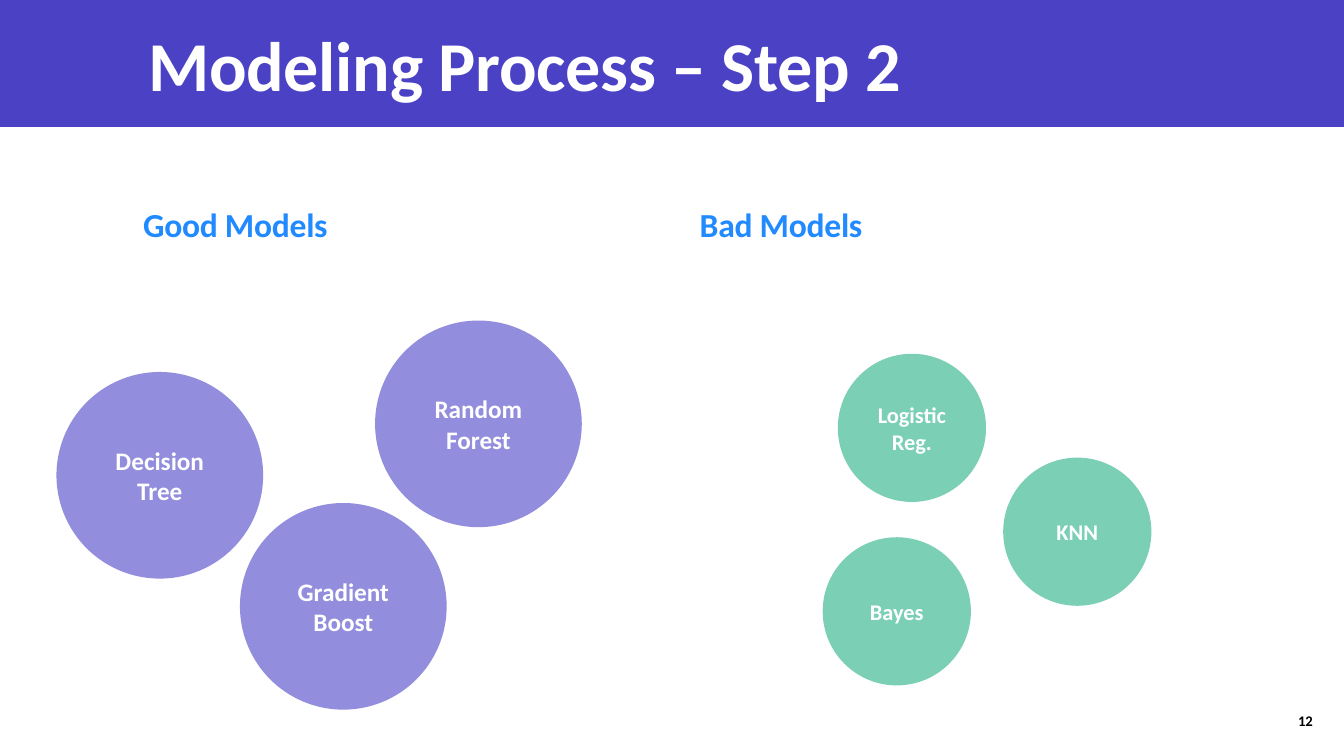
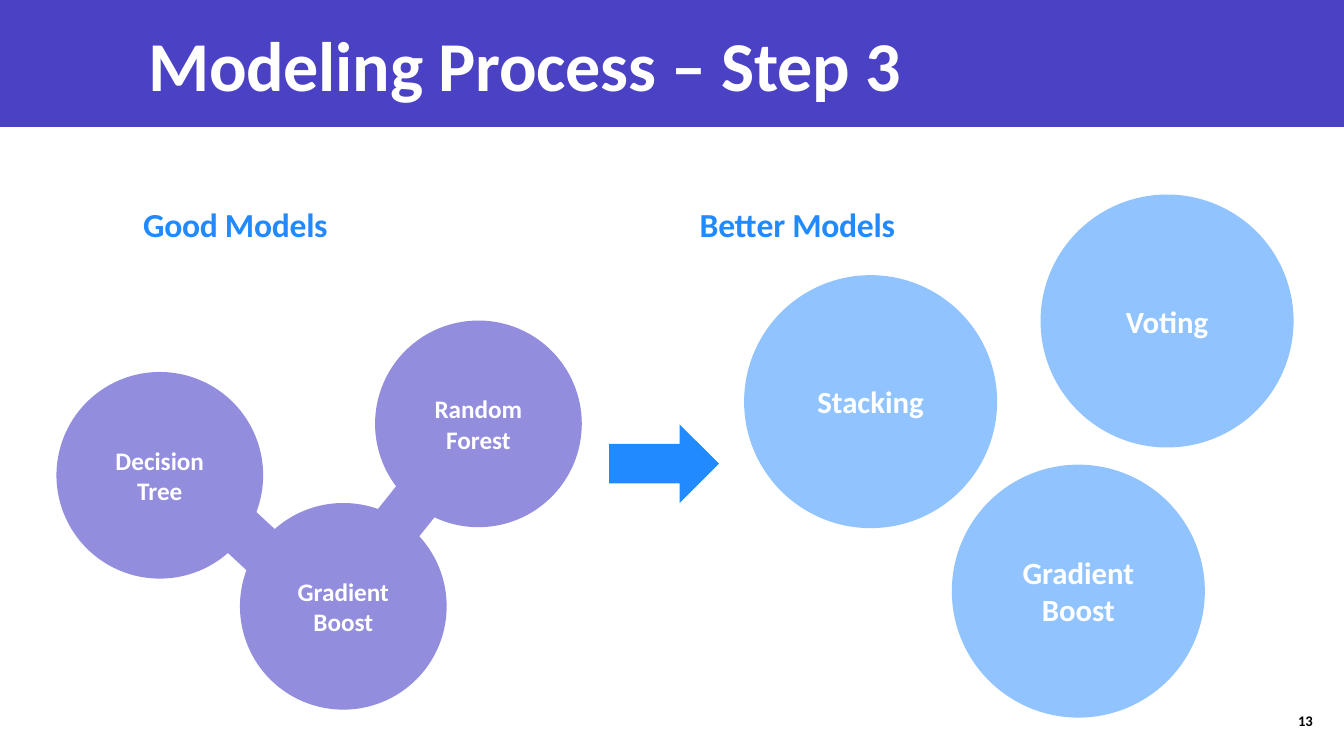
"""Build the two modeling process slides."""
from dataclasses import dataclass

from pptx import Presentation, util as u
from pptx.dml import color
from pptx.enum import shapes, text


@dataclass(frozen=True)
class Theme:
    """Hold the colours, font and type sizes of the slides."""
    font: str = "Calibri"
    band: str = "4A41C5"
    accent: str = "228AFF"
    good: str = "928DDC"
    bad: str = "7ACFB5"
    better: str = "91C4FF"
    light: str = "FFFFFF"
    dark: str = "000000"
    title_size: float = 50
    heading_size: float = 24
    number_size: float = 10.5
    tracking: str = "-20"


@dataclass(frozen=True)
class CircleStyle:
    """Describe one family of model circles."""
    diameter: float
    fill: str
    size: float


THEME = Theme()
GOOD = CircleStyle(2.05, THEME.good, 18)
BAD = CircleStyle(1.47, THEME.bad, 16)
BETTER = CircleStyle(2.51, THEME.better, 22)
TITLE, LEFT_HEADING, RIGHT_HEADING = 0, 1, 3
PLACEHOLDER_BOXES = {
    TITLE: (1.37, 0.21, 10.98, 0.85),
    LEFT_HEADING: (1.32, 1.93, 5.2, 0.65),
    RIGHT_HEADING: (6.84, 1.93, 5.2, 0.65),
}
NUMBER_BOX = (12.43, 6.95, 0.69, 0.4)
ARROW_BOX = (6.04, 4.21, 1.09, 0.78)
JOINTS = [((1.88, 4.99, 0.94, 0.49), 222.8), ((3.54, 4.87, 0.94, 0.49), 308.6)]
GOOD_MODELS = [
    ("Gradient Boost", 2.38, 4.99),
    ("Decision Tree", 0.56, 3.69),
    ("Random Forest", 3.72, 3.18),
]
BAD_MODELS = [
    ("KNN", 9.95, 4.54),
    ("Bayes", 8.16, 5.33),
    ("Logistic Reg.", 8.31, 3.51),
]
BETTER_MODELS = [
    ("Stacking", 7.38, 2.73),
    ("Voting", 10.32, 1.93),
    ("Gradient Boost", 9.44, 4.61),
]


def apply_format(target, values):
    """Set each attribute of the target from a dict."""
    for name, value in values.items():
        setattr(target, name, value)


def inches(box):
    """Convert a box of numbers to lengths."""
    return [u.Inches(value) for value in box]


def write_text(shape, wording, size, ink, align, anchor=text.MSO_ANCHOR.MIDDLE, **spacing):
    """Write one formatted paragraph and return its run."""
    frame = shape.text_frame
    apply_format(frame, {"word_wrap": True, "auto_size": text.MSO_AUTO_SIZE.NONE,
                         "vertical_anchor": anchor})
    paragraph = frame.paragraphs[0]
    apply_format(paragraph, {"alignment": align, **spacing})
    run = paragraph.add_run()
    run.text = wording
    apply_format(run.font, {"name": THEME.font, "size": u.Pt(size), "bold": True})
    run.font.color.rgb = color.RGBColor.from_string(ink)
    return run


def add_filled_shape(slide, kind, box, fill, rotation=0):
    """Add a flat shape without outline or shadow."""
    shape = slide.shapes.add_shape(kind, *inches(box))
    shape.shadow.inherit = False
    shape.fill.solid()
    shape.fill.fore_color.rgb = color.RGBColor.from_string(fill)
    shape.line.fill.background()
    shape.rotation = rotation
    return shape


def add_circles(slide, models, style):
    """Add a labelled circle for each model."""
    for label, left, top in models:
        circle = add_filled_shape(slide, shapes.MSO_SHAPE.OVAL,
                                  (left, top, style.diameter, style.diameter), style.fill)
        write_text(circle, label, style.size, THEME.light, text.PP_ALIGN.CENTER)


def fill_placeholder(slide, index, wording, size, ink, **spacing):
    """Fill a title or heading placeholder with tightened text."""
    placeholder = next(item for item in slide.placeholders
                       if item.placeholder_format.idx == index)
    run = write_text(placeholder, wording, size, ink, text.PP_ALIGN.LEFT, **spacing)
    run._r.get_or_add_rPr().set("spc", THEME.tracking)


def prepare_layout(presentation):
    """Arrange the shared placeholders and return the comparison layout."""
    layout = presentation.slide_layouts.get_by_name("Comparison")
    for placeholder in layout.placeholders:
        box = PLACEHOLDER_BOXES.get(placeholder.placeholder_format.idx)
        if box:
            apply_format(placeholder, dict(zip(("left", "top", "width", "height"), inches(box))))
    return layout


def add_layout_band(layout, slide, width):
    """Draw the title band and move it behind the layout placeholders."""
    band = add_filled_shape(slide, shapes.MSO_SHAPE.RECTANGLE, (0, 0, width, 1.26), THEME.band)
    layout.shapes.element.insert(2, band.element)


def add_step_slide(presentation, layout, step, number, right_heading):
    """Add a slide with its title, headings and number."""
    slide = presentation.slides.add_slide(layout)
    for placeholder in list(slide.placeholders):
        if placeholder.placeholder_format.idx not in PLACEHOLDER_BOXES:
            placeholder.element.getparent().remove(placeholder.element)
    fill_placeholder(slide, TITLE, f"Modeling Process – Step {step}",
                     THEME.title_size, THEME.light)
    for index, heading in ((LEFT_HEADING, "Good Models"), (RIGHT_HEADING, right_heading)):
        fill_placeholder(slide, index, heading, THEME.heading_size, THEME.accent,
                         anchor=text.MSO_ANCHOR.TOP, line_spacing=1.1, space_before=u.Pt(10))
    number_box = slide.shapes.add_textbox(*inches(NUMBER_BOX))
    write_text(number_box, str(number), THEME.number_size, THEME.dark, text.PP_ALIGN.RIGHT)
    return slide


def main():
    """Build and save the presentation."""
    presentation = Presentation()
    apply_format(presentation, {"slide_width": u.Inches(13.33), "slide_height": u.Inches(7.5)})
    layout = prepare_layout(presentation)

    selection = add_step_slide(presentation, layout, 2, 12, "Bad Models")
    add_layout_band(layout, selection, 13.33)
    add_circles(selection, BAD_MODELS, BAD)
    add_circles(selection, GOOD_MODELS, GOOD)

    combination = add_step_slide(presentation, layout, 3, 13, "Better Models")
    add_circles(combination, GOOD_MODELS, GOOD)
    add_filled_shape(combination, shapes.MSO_SHAPE.RIGHT_ARROW, ARROW_BOX, THEME.accent)
    for box, rotation in JOINTS:
        add_filled_shape(combination, shapes.MSO_SHAPE.RECTANGLE, box, THEME.good, rotation)
    add_circles(combination, BETTER_MODELS, BETTER)

    presentation.save("out.pptx")


if __name__ == "__main__":
    main()
